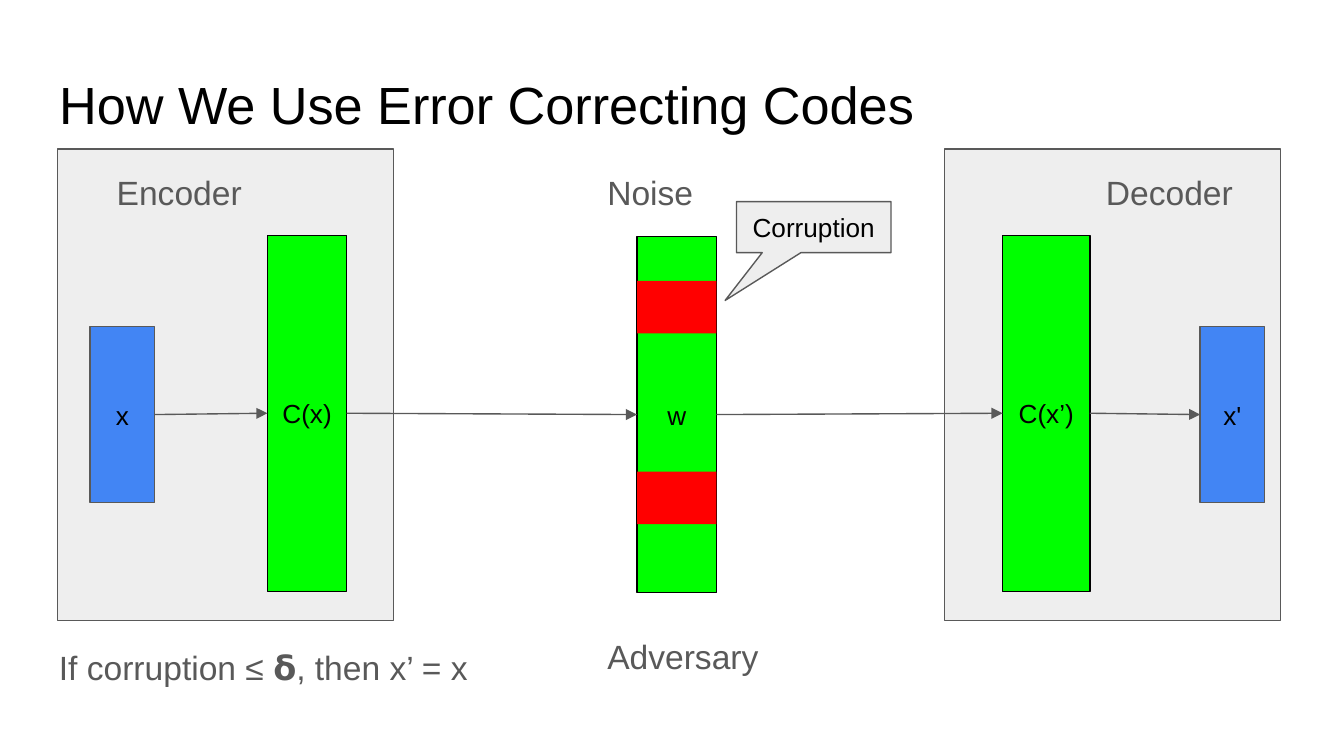
"""Build the slide that explains how error correcting codes are used."""
from lxml import etree
from pptx import Presentation
from pptx.dml.color import RGBColor
from pptx.enum.shapes import MSO_CONNECTOR, MSO_SHAPE
from pptx.enum.text import MSO_ANCHOR, PP_ALIGN
from pptx.oxml.ns import qn
from pptx.util import Inches, Pt

RECT, CALLOUT = MSO_SHAPE.RECTANGLE, MSO_SHAPE.RECTANGULAR_CALLOUT
STRAIGHT = MSO_CONNECTOR.STRAIGHT
LEFT, CENTER = PP_ALIGN.LEFT, PP_ALIGN.CENTER
TOP, MIDDLE = MSO_ANCHOR.TOP, MSO_ANCHOR.MIDDLE
LEFT_SITE, RIGHT_SITE = 1, 3

THEME = {
    "font": "Arial", "title": 28, "text": 18, "label": 14, "line": 0.75,
    "black": "000000", "gray": "595959", "panel": "EEEEEE",
    "message": "4285F4", "code": "00FF00", "error": "FF0000",
}

WIDTH = 10
HEIGHT = WIDTH * 9 / 16
TITLE = ("How We Use Error Correcting Codes", (0.34, 0.49, 9.32, 0.63))
PANELS = [(7.03, 1.11, 2.5, 3.51), (0.43, 1.11, 2.5, 3.51)]
STAGES = [
    ("x", "message", "gray", (0.67, 2.43, 0.48, 1.31)),
    ("C(x)", "code", "black", (1.99, 1.75, 0.59, 2.65)),
    ("w", "code", "black", (4.74, 1.76, 0.59, 2.65)),
    ("C(x’)", "code", "black", (7.46, 1.75, 0.65, 2.65)),
    ("x'", "message", "gray", (8.93, 2.43, 0.48, 1.31)),
]
ERRORS = [(4.74, 2.09, 0.59, 0.39), (4.74, 3.51, 0.59, 0.39)]
CORRUPTION = ("Corruption", (5.48, 1.5, 1.15, 0.38), (-0.574, 1.437))
CAPTIONS = [
    ("Encoder", (0.77, 1.18, 1.23, 0.5)),
    ("Noise", (4.42, 1.18, 0.95, 0.48)),
    ("Adversary", (4.42, 4.63, 1.35, 0.5)),
    ("Decoder", (8.13, 1.18, 1.15, 0.5)),
    ("If corruption ≤ 𝝳, then x’ = x", (0.34, 4.71, 4.67, 0.72)),
]


def color(name):
    return RGBColor.from_string(THEME[name])


def write(s, text, size, ink, align, anchor):
    tf = s.text_frame
    tf.word_wrap = True
    tf.vertical_anchor = anchor
    tf.margin_left = tf.margin_right = Inches(0.1)
    tf.margin_top = tf.margin_bottom = Inches(0.1)
    p = tf.paragraphs[0]
    p.text = text
    p.alignment = align
    p.font.name = THEME["font"]
    p.font.size = Pt(THEME[size])
    p.font.color.rgb = color(ink)
    return p


def add_box(shapes, box, fill, line=None, text=None, kind=RECT):
    s = shapes.add_shape(kind, *map(Inches, box))
    s.shadow.inherit = False
    s.fill.solid()
    s.fill.fore_color.rgb = color(fill)
    if line:
        s.line.color.rgb = color(line)
        s.line.width = Pt(THEME["line"])
    else:
        s.line.fill.background()
    if text:
        write(s, text, "label", "black", CENTER, MIDDLE)
    return s


def add_arrow(shapes, start, end):
    c = shapes.add_connector(STRAIGHT, 0, 0, 0, 0)
    c.begin_connect(start, RIGHT_SITE)
    c.end_connect(end, LEFT_SITE)
    c.line.color.rgb = color("gray")
    c.line.width = Pt(THEME["line"])
    ln = c._element.spPr.find(qn("a:ln"))
    etree.SubElement(ln, qn("a:tailEnd"), type="triangle")
    etree.SubElement(c._element.spPr, qn("a:effectLst"))


def main():
    prs = Presentation()
    prs.slide_width, prs.slide_height = Inches(WIDTH), Inches(HEIGHT)
    shapes = prs.slides.add_slide(prs.slide_layouts[5]).shapes

    text, box = TITLE
    title = shapes.title
    title.left, title.top, title.width, title.height = map(Inches, box)
    write(title, text, "title", "black", LEFT, TOP).line_spacing = 0.9

    for box in PANELS:
        add_box(shapes, box, "panel", "gray")
    stages = [add_box(shapes, box, fill, line, text) for text, fill, line, box in STAGES]
    for box in ERRORS:
        add_box(shapes, box, "error")
    for start, end in zip(stages, stages[1:]):
        add_arrow(shapes, start, end)

    text, box, tip = CORRUPTION
    callout = add_box(shapes, box, "panel", "gray", text, CALLOUT)
    callout.adjustments[0], callout.adjustments[1] = tip

    for text, box in CAPTIONS:
        write(shapes.add_textbox(*map(Inches, box)), text, "text", "gray", LEFT, TOP)

    prs.save("out.pptx")


if __name__ == "__main__":
    main()
